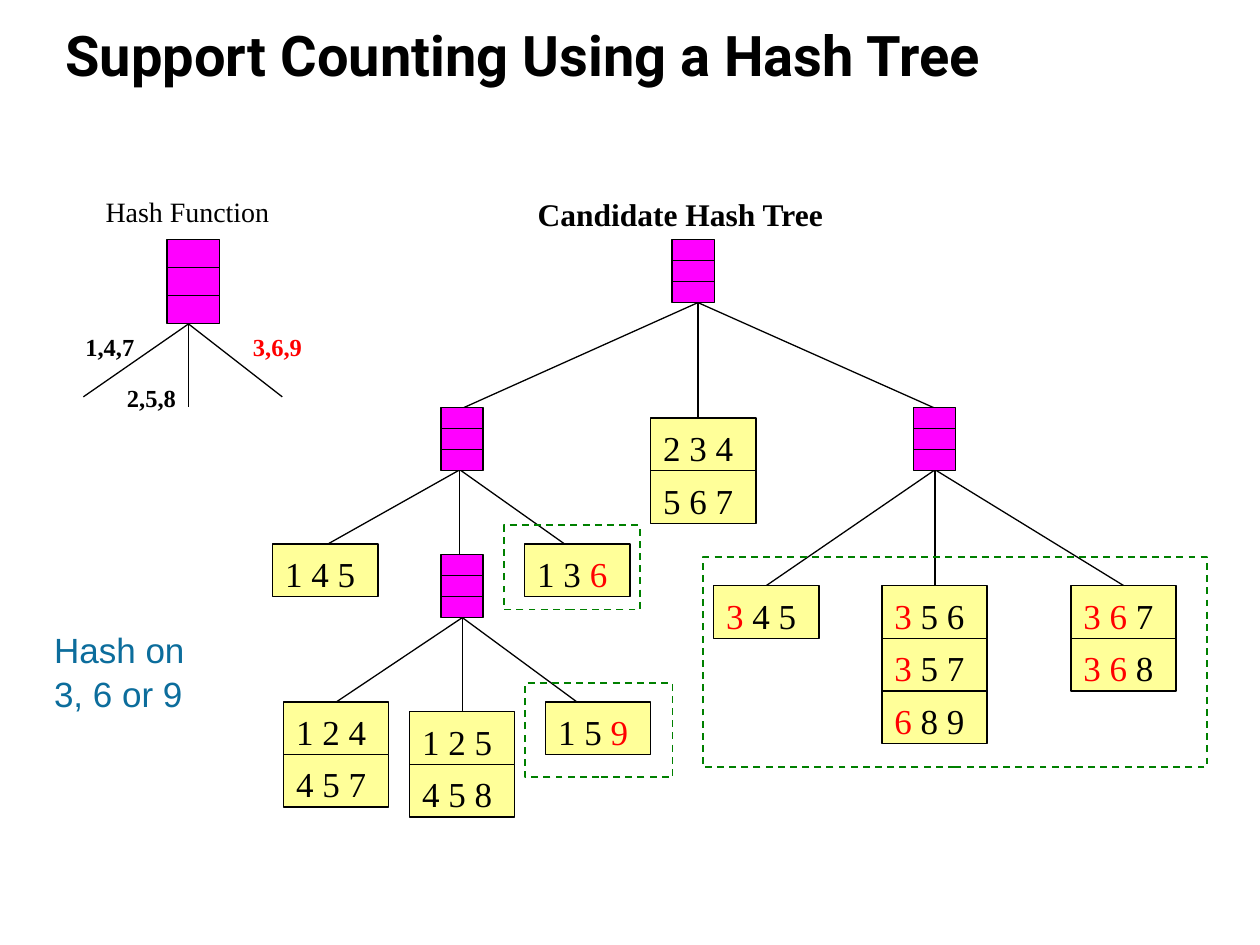
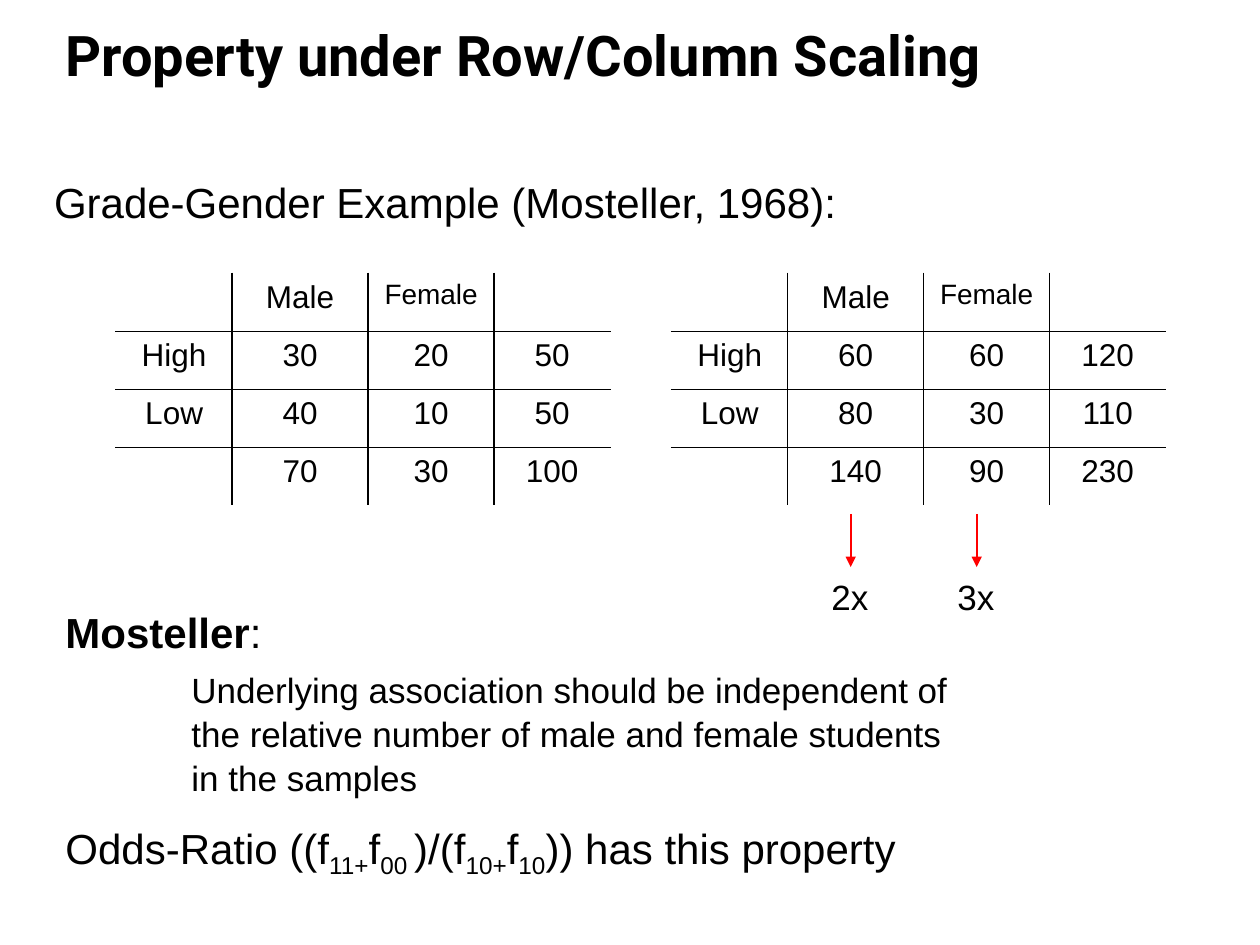
import lxml.etree
import pptx
import pptx.dml.color
import pptx.enum.dml
import pptx.enum.shapes
import pptx.enum.text
import pptx.oxml.ns
import pptx.util

RGBColor = pptx.dml.color.RGBColor
Cm, Pt = pptx.util.Cm, pptx.util.Pt
BLACK = RGBColor(0x00, 0x00, 0x00)
RED = RGBColor(0xFF, 0x00, 0x00)
MAGENTA = RGBColor(0xFF, 0x00, 0xFF)
YELLOW = RGBColor(0xFF, 0xFF, 0x99)
GREEN = RGBColor(0x00, 0x80, 0x00)
TEAL = RGBColor(0x0C, 0x6D, 0x9C)

TITLE_FONT, BODY_FONT, TREE_FONT = "Roboto", "Arial", "Times New Roman"
LEAF_WIDTH, LEAF_HEIGHT = 2.12, 1.06
ALIGN = pptx.enum.text.PP_ALIGN
RECTANGLE = pptx.enum.shapes.MSO_SHAPE.RECTANGLE
STRAIGHT = pptx.enum.shapes.MSO_CONNECTOR.STRAIGHT
qn = pptx.oxml.ns.qn


def mark_red(run):
    run.font.color.rgb = RED


def mark_bold(run):
    run.font.bold = True


def mark_subscript(run):
    run._r.get_or_add_rPr().set("baseline", "-25000")


class Deck:
    """Holds the shared style and the current slide; lengths are in cm."""

    def __init__(self):
        self.show = pptx.Presentation()
        self.show.slide_width, self.show.slide_height = Cm(25.4), Cm(19.05)
        self.slide = None

    def new_slide(self, title):
        self.slide = self.show.slides.add_slide(self.show.slide_layouts[6])
        heading = self.text(1.07, 0.43, 23, 1.47, title, 32, TITLE_FONT, bold=True, spacing=Pt(36))
        heading.vertical_anchor = pptx.enum.text.MSO_ANCHOR.BOTTOM

    def fill_paragraph(self, paragraph, text, size, font=BODY_FONT, color=BLACK, bold=False,
                       align=ALIGN.LEFT, spacing=1.05, mark=None):
        """Fill a paragraph; pieces between bars are passed to mark."""
        paragraph.alignment = align
        paragraph.line_spacing = spacing
        style = paragraph.font
        style.size, style.name, style.bold = Pt(size), font, bold
        style.color.rgb = color
        if mark is None:
            paragraph.text = text
            return
        for position, piece in enumerate(text.split("|")):
            if piece:
                run = paragraph.add_run()
                run.text = piece
                if position % 2:
                    mark(run)

    def text(self, left, top, width, height, text, size, font=BODY_FONT, wrap=True, **style):
        box = self.slide.shapes.add_textbox(Cm(left), Cm(top), Cm(width), Cm(height))
        frame = box.text_frame
        frame.word_wrap = wrap
        self.fill_paragraph(frame.paragraphs[0], text, size, font, **style)
        return frame

    def box(self, left, top, width, height, fill=None, line=BLACK, weight=0.75, dashed=False):
        shape = self.slide.shapes.add_shape(RECTANGLE, Cm(left), Cm(top), Cm(width), Cm(height))
        shape.shadow.inherit = False
        if fill is None:
            shape.fill.background()
        else:
            shape.fill.solid()
            shape.fill.fore_color.rgb = fill
        shape.line.color.rgb = line
        shape.line.width = Pt(weight)
        if dashed:
            shape.line.dash_style = pptx.enum.dml.MSO_LINE.DASH
        return shape

    def line(self, start, end, color=BLACK, weight=0.75, arrow=False):
        connector = self.slide.shapes.add_connector(
            STRAIGHT, Cm(start[0]), Cm(start[1]), Cm(end[0]), Cm(end[1]))
        connector.line.color.rgb = color
        connector.line.width = Pt(weight)
        if arrow:
            outline = connector.line._get_or_add_ln()
            lxml.etree.SubElement(outline, qn("a:tailEnd"), type="triangle")
        lxml.etree.SubElement(connector._element.spPr, qn("a:effectLst"))

    def fork(self, apex, ends):
        for end in ends:
            self.line(apex, end)

    def hash_node(self, left, top, width=0.85, height=1.27):
        self.box(left, top, width, height, MAGENTA)
        for third in (1, 2):
            level = top + height * third / 3
            self.line((left, level), (left + width, level))

    def leaf(self, left, top, itemsets):
        for row, itemset in enumerate(itemsets):
            cell = self.box(left, top + row * LEAF_HEIGHT, LEAF_WIDTH, LEAF_HEIGHT, YELLOW)
            frame = cell.text_frame
            frame.word_wrap = True
            frame.vertical_anchor = pptx.enum.text.MSO_ANCHOR.TOP
            self.fill_paragraph(frame.paragraphs[0], itemset, 20, TREE_FONT, mark=mark_red)

    def border(self, cell, sides):
        properties = cell._tc.get_or_add_tcPr()
        for side in sides:
            edge = lxml.etree.SubElement(properties, qn(f"a:ln{side}"), w=str(Pt(1)))
            fill = lxml.etree.SubElement(edge, qn("a:solidFill"))
            lxml.etree.SubElement(fill, qn("a:srgbClr"), val=str(BLACK))

    def cross_table(self, left, top, widths, row_height, rows):
        """A table with inner rules only."""
        frame = self.slide.shapes.add_table(len(rows), len(widths), Cm(left), Cm(top),
                                            Cm(sum(widths)), Cm(row_height * len(rows)))
        table = frame.table
        table.first_row = table.horz_banding = False
        for column, width in zip(table.columns, widths):
            column.width = Cm(width)
        for r, values in enumerate(rows):
            table.rows[r].height = Cm(row_height)
            for c, value in enumerate(values):
                cell = table.cell(r, c)
                inner = {"L": c > 0, "R": c < len(widths) - 1, "T": r > 0, "B": r < len(rows) - 1}
                self.border(cell, [side for side, shown in inner.items() if shown])
                cell.fill.background()
                size = 16 if value == "Female" else 18
                self.fill_paragraph(cell.text_frame.paragraphs[0], value, size,
                                    align=ALIGN.CENTER, spacing=1.0)


def hash_tree_slide(deck):
    deck.new_slide("Support Counting Using a Hash Tree")

    # Branches of the candidate tree, then of the hash function
    for apex, ends in [
        ((14.07, 6.1), [(9.32, 8.23), (14.07, 8.43), (18.85, 8.23)]),
        ((9.27, 9.47), [(6.55, 11), (9.27, 11.18), (11.43, 11)]),
        ((18.85, 9.47), [(15.44, 11.81), (18.85, 11.81), (22.66, 11.81)]),
        ((9.32, 12.45), [(6.78, 14.15), (9.32, 14.35), (11.63, 14.15)]),
        ((3.8, 6.53), [(1.68, 8), (3.8, 8.2), (5.69, 8)]),
    ]:
        deck.fork(apex, ends)

    # Inner nodes
    for left, top in [(13.55, 4.83), (8.89, 8.22), (18.42, 8.22), (8.89, 11.18)]:
        deck.hash_node(left, top)
    deck.hash_node(3.37, 4.83, 1.06, 1.7)

    # Leaves, with the items hashed on in red
    for left, top, itemsets in [
        (13.12, 8.43, ["2 3 4", "5 6 7"]),
        (5.5, 10.97, ["1 4 5"]),
        (10.58, 10.97, ["1 3 |6|"]),
        (14.39, 11.81, ["|3| 4 5"]),
        (17.78, 11.81, ["|3| 5 6", "|3| 5 7", "|6| 8 9"]),
        (21.59, 11.81, ["|3 6| 7", "|3 6| 8"]),
        (5.72, 14.15, ["1 2 4", "4 5 7"]),
        (8.26, 14.35, ["1 2 5", "4 5 8"]),
        (11, 14.15, ["1 5 |9|"]),
    ]:
        deck.leaf(left, top, itemsets)

    # Labels
    for left, top, items, color in [(1.47, 6.53, "1,4,7", BLACK), (2.31, 7.57, "2,5,8", BLACK),
                                    (4.85, 6.53, "3,6,9", RED)]:
        deck.text(left, top, 1.5, 0.84, items, 14, TREE_FONT, wrap=False, bold=True, color=color)
    deck.text(1.88, 3.76, 3.84, 0.94, "Hash Function", 16, TREE_FONT, wrap=False)
    deck.text(10.59, 3.76, 6.32, 1.02, "Candidate Hash Tree", 18, TREE_FONT, wrap=False, bold=True)
    deck.text(0.84, 12.5, 3.18, 1.96, "Hash on 3, 6 or 9", 20, color=TEAL)

    # Frames around the leaves reached by 3, 6 or 9
    for frame in [(10.59, 13.77, 2.97, 1.9), (14.17, 11.23, 10.16, 4.24),
                  (10.16, 10.59, 2.74, 1.7)]:
        deck.box(*frame, line=GREEN, weight=1, dashed=True)


def scaling_slide(deck):
    deck.new_slide("Property under Row/Column Scaling")
    deck.text(0.84, 3.38, 21.39, 1.27, "Grade-Gender Example (Mosteller, 1968):", 24)

    # Contingency tables before and after scaling
    header = ["", "Male", "Female", ""]
    for left, counts in [
        (2.34, [["High", "30", "20", "50"], ["Low", "40", "10", "50"], ["", "70", "30", "100"]]),
        (13.54, [["High", "60", "60", "120"], ["Low", "80", "30", "110"], ["", "140", "90", "230"]]),
    ]:
        deck.cross_table(left, 5.51, [2.34, 2.74, 2.54, 2.34], 1.17, [header] + counts)

    # Scale factors
    for left, factor in [(16.51, "2x"), (19.05, "3x")]:
        deck.line((left + 0.64, 10.36), (left + 0.64, 11.43), RED, 1, arrow=True)
        deck.text(left, 11.43, 1.7, 1.09, factor, 20)

    # Conclusion
    conclusion = deck.text(1.07, 12.06, 21.39, 5.6, "|Mosteller|:", 24, mark=mark_bold)
    claim = conclusion.add_paragraph()
    claim._p.get_or_add_pPr().set("marL", str(Cm(2.54)))
    claim.space_before = Pt(5)
    deck.fill_paragraph(claim, "Underlying association should be independent of\v"
                               "the relative number of male and female students\v"
                               "in the samples", 20)
    odds_ratio = conclusion.add_paragraph()
    odds_ratio.space_before = Pt(12)
    deck.fill_paragraph(odds_ratio, "Odds-Ratio ((f|11+|f|00 |)/(f|10+|f|10|)) has this property", 24,
                        mark=mark_subscript)


def main():
    deck = Deck()
    hash_tree_slide(deck)
    scaling_slide(deck)
    deck.show.save("out.pptx")


if __name__ == "__main__":
    main()
